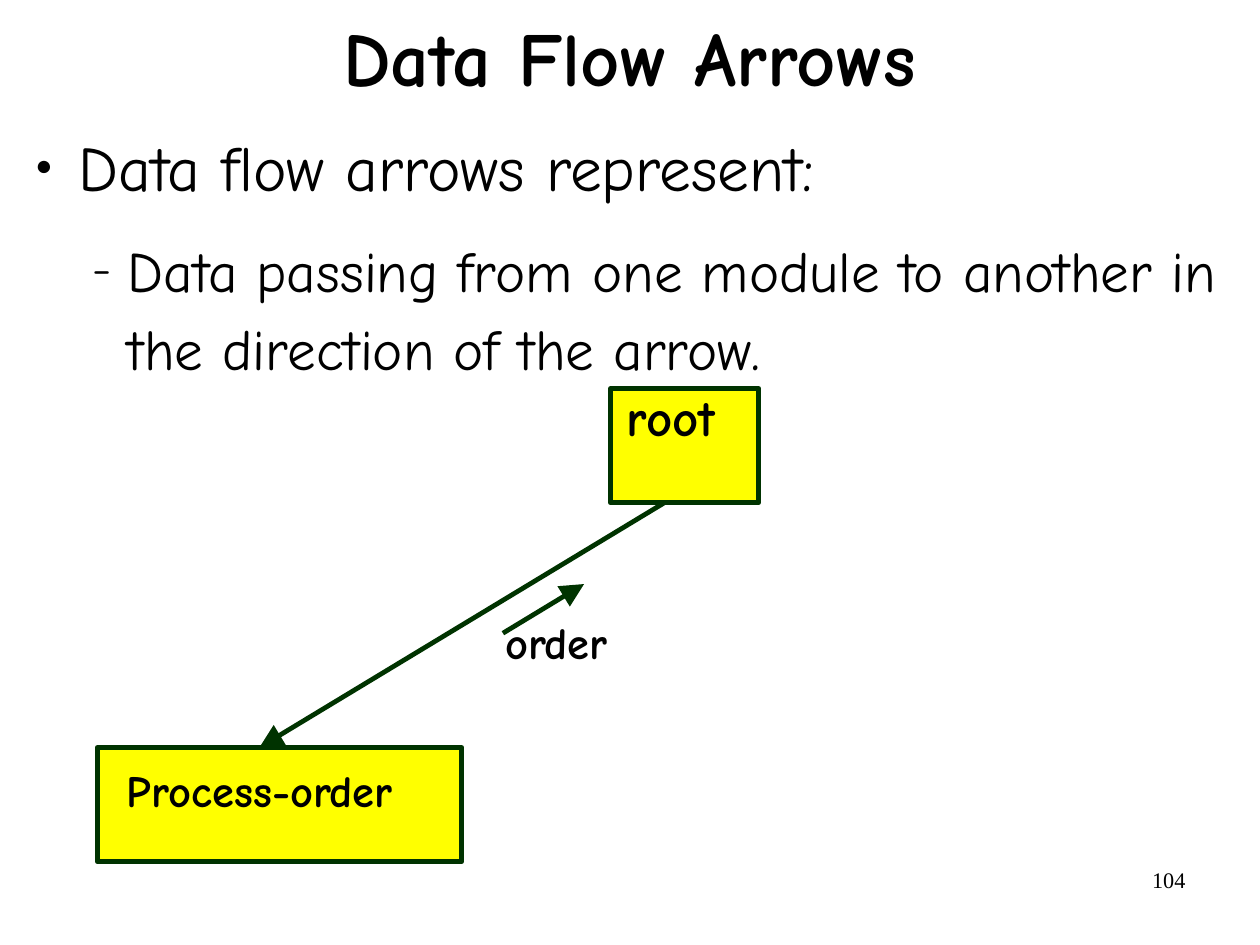
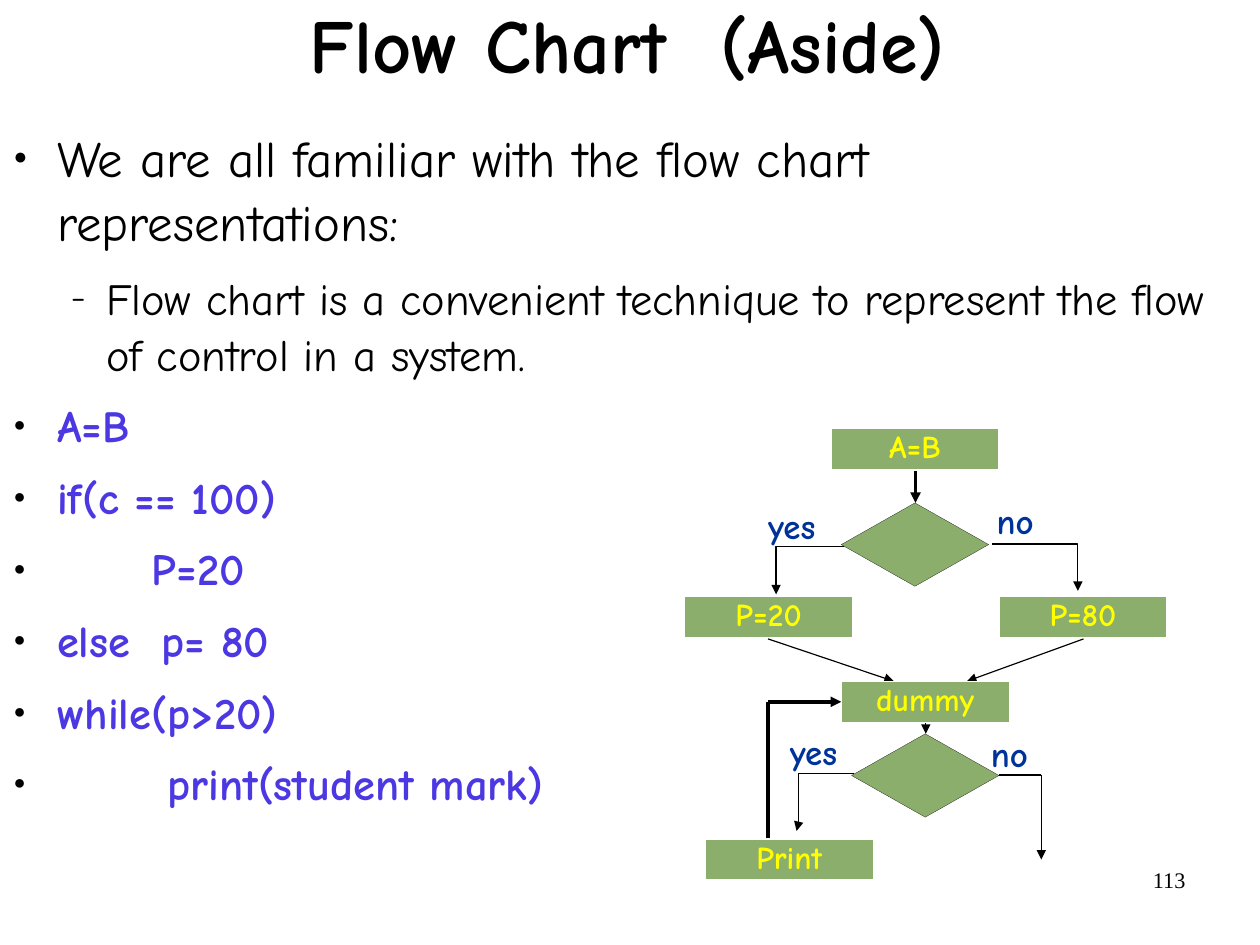
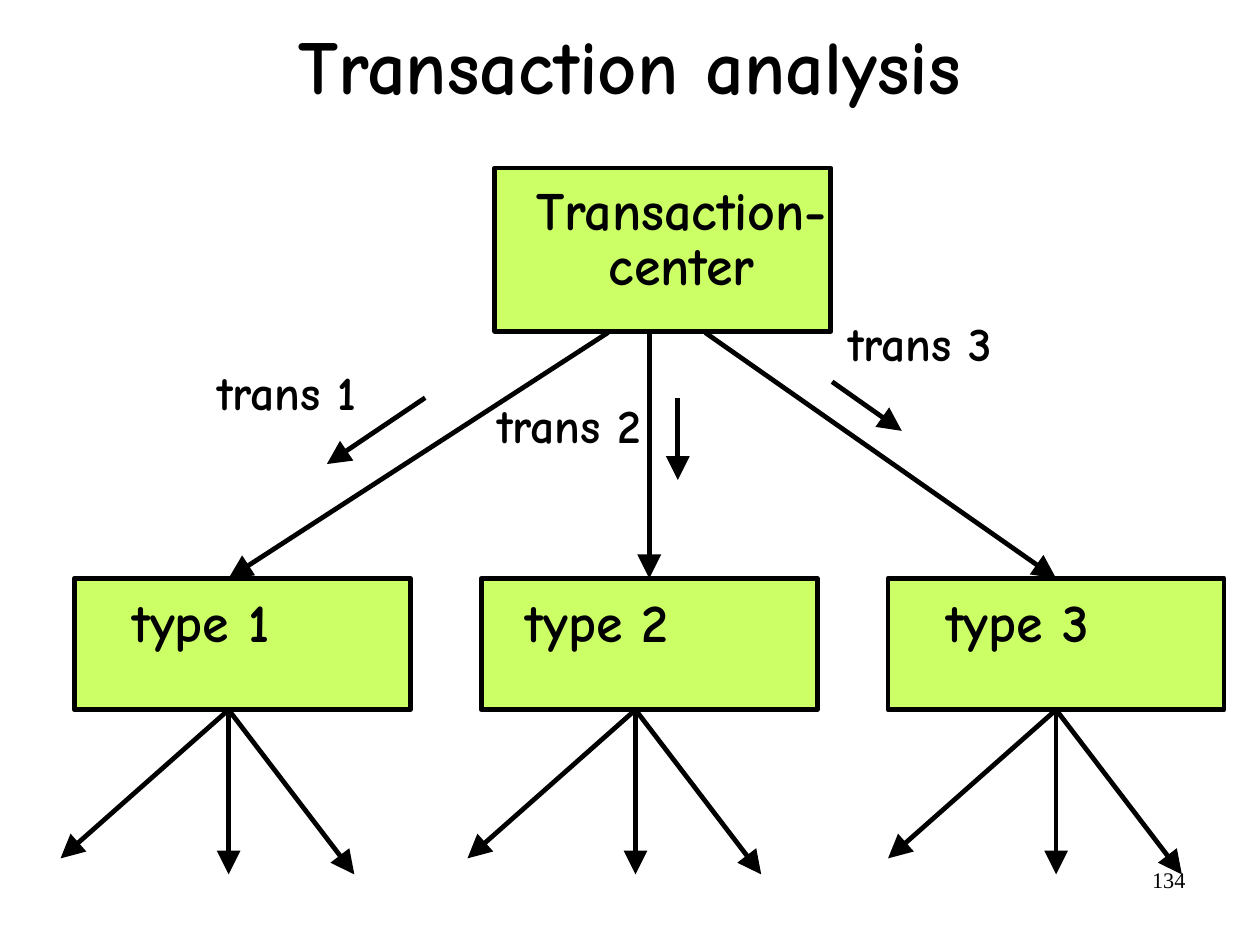
from typing import NamedTuple, Optional

from lxml.etree import SubElement
from pptx import Presentation
from pptx.dml.color import RGBColor
from pptx.enum.shapes import MSO_CONNECTOR, MSO_SHAPE
from pptx.enum.text import MSO_ANCHOR, PP_ALIGN
from pptx.oxml.ns import qn
from pptx.util import Cm, Emu, Pt

PX = 9144  # EMU in one px, 100 px to the inch
FONT, NUMBER_FONT = "Comic Neue", "Times New Roman"
COLORS = {
    "black": "000000", "white": "FFFFFF", "yellow": "FFFF00",
    "dark_green": "003300", "sage": "8BAE6C", "lime": "CCFF66",
    "navy": "003399", "violet": "4C38E2",
}


class Style(NamedTuple):
    size: int
    color: str = "black"
    bold: bool = True
    align: PP_ALIGN = PP_ALIGN.LEFT
    spacing: float = 0.85
    font: str = FONT


class Node(NamedTuple):
    text: str
    left: int
    top: int
    width: int
    height: int
    inset_left: int = 2
    inset_top: int = 6


class Label(NamedTuple):
    text: str
    left: int
    top: int
    width: int
    height: int


class Arrow(NamedTuple):
    x1: int
    y1: int
    x2: int
    y2: int
    weight: float = 0.75
    head: str = "med"
    elbow: Optional[float] = None


class Bullet(NamedTuple):
    text: str
    size: int
    before: float
    after: float
    level: int = 0
    color: str = "black"
    bold: bool = False


class BulletLevel(NamedTuple):
    margin: int
    indent: int
    mark: str
    mark_size: int
    font: str


class Look(NamedTuple):
    fill: str
    line: str
    weight: float
    style: Style
    anchor: MSO_ANCHOR = MSO_ANCHOR.TOP


TITLE = Style(48, align=PP_ALIGN.CENTER, spacing=0.94)
PAGE_NUMBER = Style(14, bold=False, align=PP_ALIGN.RIGHT, spacing=1.0, font=NUMBER_FONT)
BRANCH = Style(22, "navy")
FLOW = Look("sage", "white", 0.75, Style(20, "yellow", align=PP_ALIGN.CENTER), MSO_ANCHOR.MIDDLE)
DECISION = Look("sage", "black", 0.11, FLOW.style)
LEVELS = [BulletLevel(38, -38, "●", 45, NUMBER_FONT), BulletLevel(81, -31, "−", 75, FONT)]


def rgb(name: str) -> RGBColor:
    return RGBColor.from_string(COLORS[name])


def px(*lengths: int) -> list:
    return [Emu(length * PX) for length in lengths]


def add_run(paragraph, text: str, style: Style) -> None:
    run = paragraph.add_run()
    run.text = text
    run.font.name, run.font.size, run.font.bold = style.font, Pt(style.size), style.bold
    run.font.color.rgb = rgb(style.color)


def set_frame(frame, left=2, top=6, right=2, bottom=6, anchor=MSO_ANCHOR.TOP) -> None:
    frame.word_wrap = True
    frame.vertical_anchor = anchor
    (frame.margin_left, frame.margin_top,
     frame.margin_right, frame.margin_bottom) = px(left, top, right, bottom)


def write(frame, text: str, style: Style) -> None:
    paragraph = frame.paragraphs[0]
    paragraph.alignment, paragraph.line_spacing = style.align, style.spacing
    add_run(paragraph, text, style)


def add_label(slide, label: Label, style: Style, anchor=MSO_ANCHOR.TOP) -> None:
    frame = slide.shapes.add_textbox(*px(*label[1:])).text_frame
    set_frame(frame, anchor=anchor)
    write(frame, label.text, style)


def add_node(slide, node: Node, look: Look, kind=MSO_SHAPE.RECTANGLE) -> None:
    shape = slide.shapes.add_shape(kind, *px(*node[1:5]))
    shape.shadow.inherit = False
    shape.fill.solid()
    shape.fill.fore_color.rgb = rgb(look.fill)
    shape.line.color.rgb = rgb(look.line)
    shape.line.width = Pt(look.weight)
    if node.text:
        set_frame(shape.text_frame, node.inset_left, node.inset_top, anchor=look.anchor)
        write(shape.text_frame, node.text, look.style)


def add_arrow(slide, arrow: Arrow, color: str = "black") -> None:
    kind = MSO_CONNECTOR.STRAIGHT if arrow.elbow is None else MSO_CONNECTOR.ELBOW
    connector = slide.shapes.add_connector(kind, *px(*arrow[:4]))
    connector.line.color.rgb = rgb(color)
    connector.line.width = Pt(arrow.weight)
    properties = connector.element.spPr
    if arrow.elbow is not None:
        adjustments = properties.find(qn("a:prstGeom")).get_or_add_avLst()
        SubElement(adjustments, qn("a:gd"), name="adj1", fmla=f"val {round(arrow.elbow * 100000)}")
    if arrow.head:
        SubElement(properties.find(qn("a:ln")), qn("a:tailEnd"),
                   type="triangle", w=arrow.head, len=arrow.head)
    SubElement(properties, qn("a:effectLst"))


def add_bold_arrow(slide, x1: int, y1: int, x2: int, y2: int, color: str = "black") -> None:
    add_arrow(slide, Arrow(x1, y1, x2, y2, 3, "lg"), color)


def add_bullets(slide, left: int, top: int, width: int, height: int,
                spacing: float, bullets: list) -> None:
    frame = slide.shapes.add_textbox(*px(left, top, width, height)).text_frame
    set_frame(frame)
    for index, bullet in enumerate(bullets):
        paragraph = frame.paragraphs[0] if index == 0 else frame.add_paragraph()
        level = LEVELS[bullet.level]
        paragraph.level, paragraph.line_spacing = bullet.level, spacing
        paragraph.space_before = Pt(bullet.before if index else 0)
        paragraph.space_after = Pt(bullet.after)
        properties = paragraph._p.get_or_add_pPr()
        properties.set("marL", str(level.margin * PX))
        properties.set("indent", str(level.indent * PX))
        SubElement(SubElement(properties, qn("a:buClr")), qn("a:srgbClr"), val=COLORS["black"])
        SubElement(properties, qn("a:buSzPct"), val=str(level.mark_size * 1000))
        SubElement(properties, qn("a:buFont"), typeface=level.font)
        SubElement(properties, qn("a:buChar"), char=level.mark)
        add_run(paragraph, bullet.text, Style(bullet.size, bullet.color, bullet.bold))


def start_slide(presentation, title: str, left: int, top: int, number: int):
    slide = presentation.slides.add_slide(presentation.slide_layouts[6])
    slide.background.fill.solid()
    slide.background.fill.fore_color.rgb = rgb("white")
    frame = slide.shapes.add_textbox(*px(790, 753, 257, 57)).text_frame
    set_frame(frame, 10, 5, 10, 5)
    write(frame, str(number), PAGE_NUMBER)
    add_label(slide, Label(title, left, top, 940, 137), TITLE, MSO_ANCHOR.MIDDLE)
    return slide


def build_data_flow(presentation) -> None:
    slide = start_slide(presentation, "Data Flow Arrows", 81, -15, 104)
    add_bullets(slide, 29, 96, 1040, 574, 1.15, [
        Bullet("Data flow arrows represent:", 40, 6.4, 7.5),
        Bullet("Data passing from one module to another in the direction of the arrow.",
               36, 5.5, 6.8, level=1),
    ])
    # Modules and the data passed between them
    modules = [(Node("root", 534, 340, 130, 100, 14, 6), 32),
               (Node("Process-order", 85, 654, 319, 100, 26, 21), 28)]
    for node, size in modules:
        add_node(slide, node, Look("yellow", "dark_green", 3, Style(size)))
    for ends in [(581, 440, 227, 654), (440, 554, 511, 511)]:
        add_bold_arrow(slide, *ends, "dark_green")
    add_label(slide, Label("order", 440, 539, 295, 74), Style(28))


def build_flow_chart(presentation) -> None:
    slide = start_slide(presentation, "Flow Chart  (Aside)", 79, -27, 113)
    code = ["A=B", "if(c == 100)", "      P=20", "else  p= 80", "while(p>20)",
            "       print(student mark)"]
    add_bullets(slide, 10, 102, 1065, 650, 1.05, [
        Bullet("We are all familiar with the flow chart representations:", 32, 5.5, 6),
        Bullet("Flow chart is a convenient technique to represent the flow of control in a system.",
               28, 4.6, 5.2, level=1),
        *(Bullet(line, 28, 4.6, 5.2, color="violet", bold=True) for line in code),
    ])
    # Flow of control
    for arrow in [
        Arrow(801, 412, 801, 440, 2.25),
        Arrow(738, 478, 679, 520, elbow=1),
        Arrow(868, 476, 943, 517, elbow=1),
        Arrow(672, 734, 672, 614, 2.25, head=""),
        Arrow(672, 614, 736, 614, 2.25),
        Arrow(672, 559, 782, 596),
        Arrow(948, 559, 846, 596),
        Arrow(810, 623, 810, 642),
        Arrow(747, 677, 697, 727, elbow=0.97),
        Arrow(874, 678, 911, 678, head=""),
        Arrow(911, 678, 911, 752),
    ]:
        add_arrow(slide, arrow)
    # Steps and decisions
    for text, left, top in [("A=B", 727, 375), ("P=20", 599, 522), ("P=80", 874, 522),
                            ("dummy", 736, 596), ("Print", 617, 734)]:
        add_node(slide, Node(text, left, top, 147, 36), FLOW)
    for left, top in [(736, 440), (745, 642)]:
        add_node(slide, Node("", left, top, 129, 73), DECISION, MSO_SHAPE.DIAMOND)
    for text, left, top, width in [("yes", 670, 441, 63), ("no", 870, 437, 54),
                                   ("yes", 689, 639, 63), ("no", 865, 641, 54)]:
        add_label(slide, Label(text, left, top, width, 48), BRANCH)


def build_transaction(presentation) -> None:
    slide = start_slide(presentation, "Transaction analysis", 81, -8, 134)
    look = Look("lime", "black", 3, Style(34))
    center_look = look._replace(style=Style(34, align=PP_ALIGN.CENTER))
    add_node(slide, Node("Transaction- center", 433, 147, 294, 143, 35, 16), center_look)
    # One branch per type: arrow from the center, box, fan of three arrows
    branches = [(532, 200, 200, 51), (568, 568, 556, 39), (617, 924, 924, 51)]
    for index, (start, end, hub, inset) in enumerate(branches):
        add_node(slide, Node(f"type {index + 1}", 65 + 356 * index, 506, 294, 115, inset, 18), look)
        add_bold_arrow(slide, start, 291, end, 506)
        for across, down in [(-147, 130), (0, 144), (110, 144)]:
            add_bold_arrow(slide, hub, 621, hub + across, 621 + down)
    # Transactions passed along the branches
    passed = [((372, 348, 286, 406), 188, 319),
              ((593, 348, 593, 420), 433, 348),
              ((728, 334, 789, 377), 740, 276)]
    for index, (ends, left, top) in enumerate(passed):
        add_bold_arrow(slide, *ends)
        add_label(slide, Label(f"trans {index + 1}", left, top, 159, 75), Style(30))


def main() -> None:
    presentation = Presentation()
    presentation.slide_width, presentation.slide_height = Cm(28), Cm(21)
    build_data_flow(presentation)
    build_flow_chart(presentation)
    build_transaction(presentation)
    presentation.save("out.pptx")


if __name__ == "__main__":
    main()
